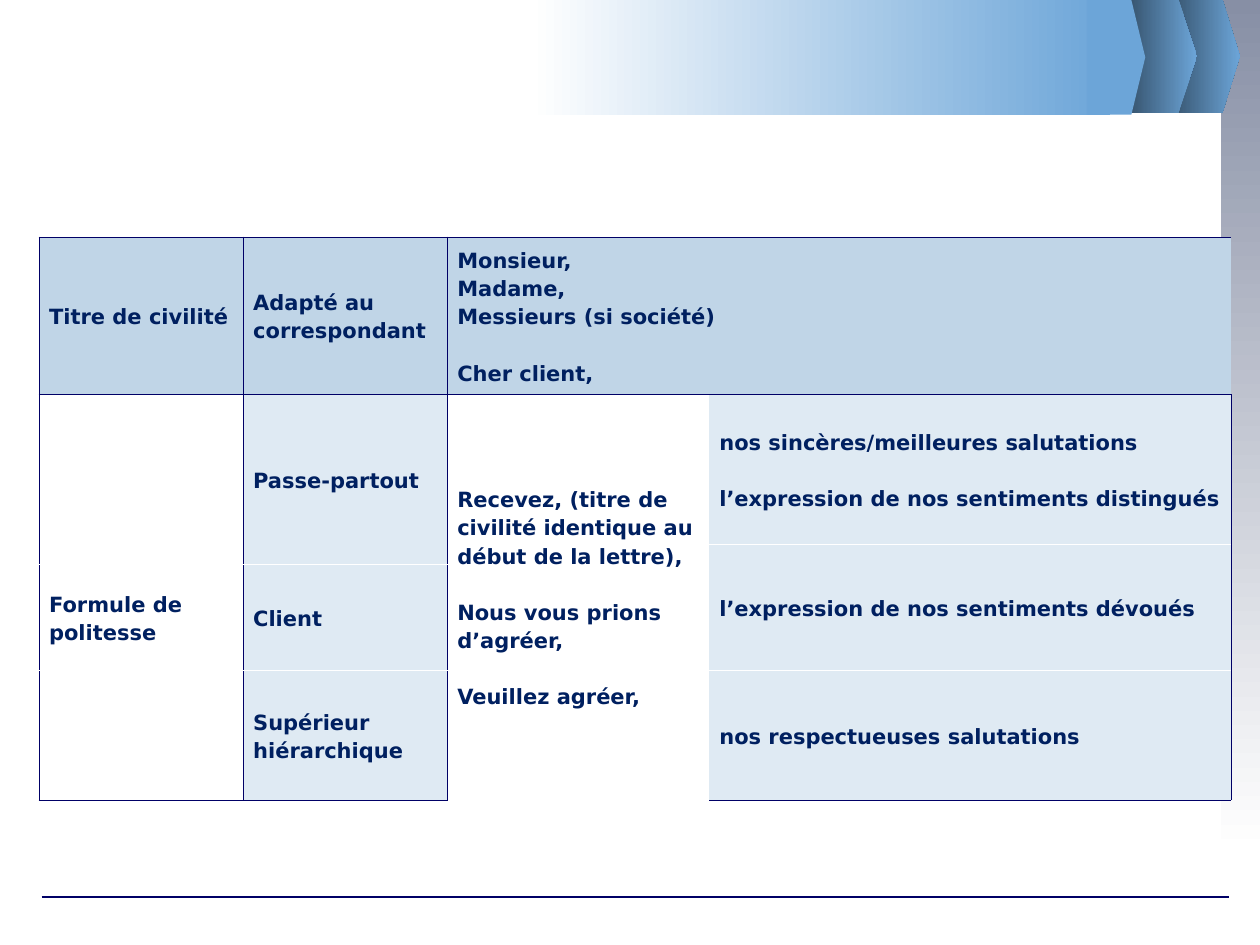
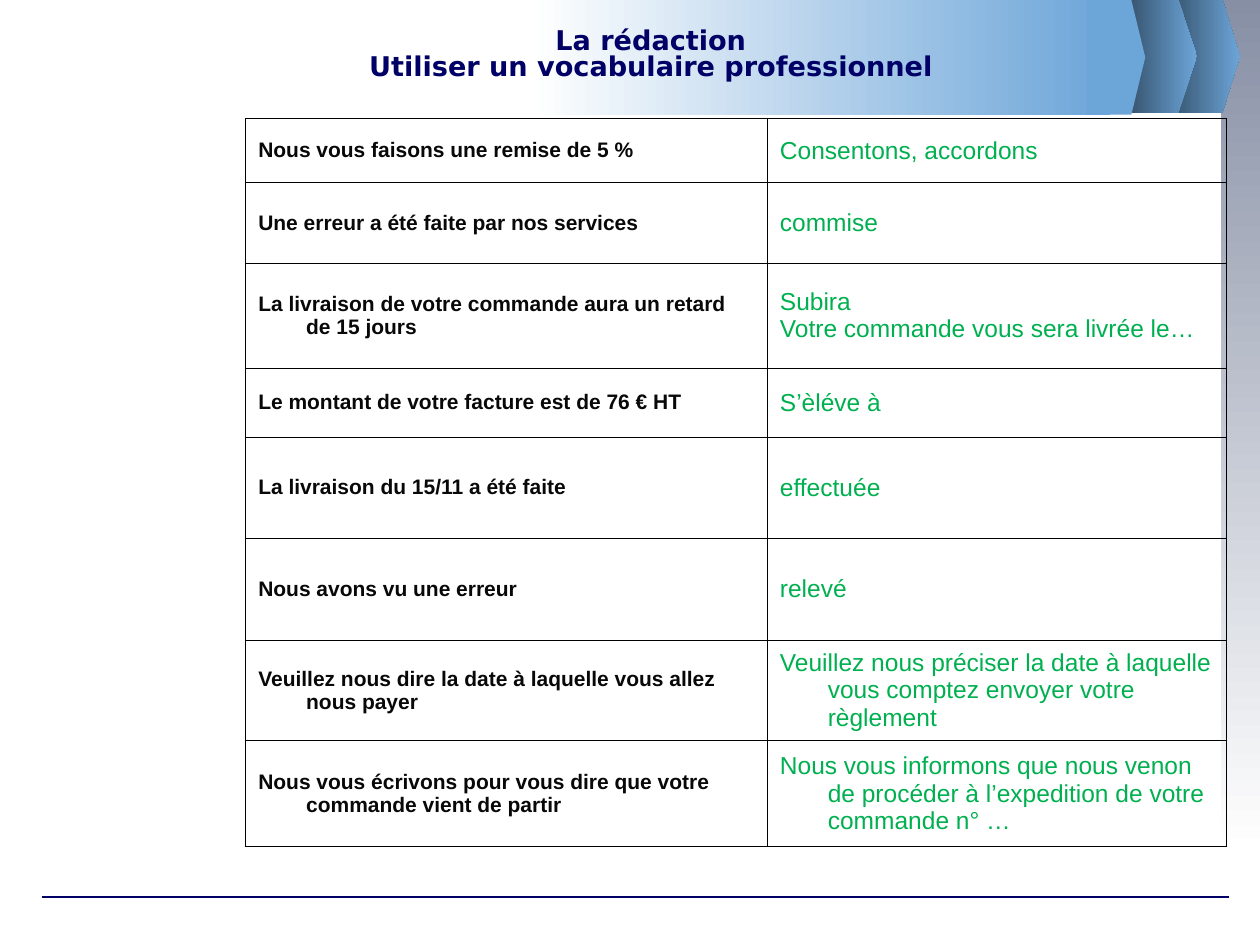
from dataclasses import dataclass
from itertools import product
from typing import Optional

from lxml.etree import SubElement
from pptx import Presentation
from pptx.dml.color import RGBColor
from pptx.enum.shapes import MSO_CONNECTOR as Link, MSO_SHAPE as Kind
from pptx.enum.text import MSO_ANCHOR as Anchor, PP_ALIGN as Align
from pptx.oxml.ns import qn
from pptx.util import Inches, Pt

# Grid: 100 columns by 75 rows of a tenth of an inch
COLS, ROWS = 100, 75
UNIT = Inches(0.1)

NAVY, INK, GREEN = "000066", "002060", "00B050"
BLACK, COAL, WHITE = "000000", "080808", "FFFFFF"
STEEL, SLATE, GREY = "6CA5D8", "324C64", "878FA5"
HEAD, PALE = "C0D5E7", "DFEAF3"
BAND = 9.1  # height of the top band
RULE = 0.45  # width of table borders


@dataclass
class Box:
    x: float
    y: float
    w: float
    h: float


@dataclass
class Arrow:
    x: float
    y: float
    flat: float
    tip: float
    fill: tuple


@dataclass
class Style:
    font: str
    size: float
    tint: str
    bold: bool = True
    lead: Optional[float] = None
    gap: float = 0
    hang: float = 0


@dataclass
class Cell:
    row: int
    col: int
    text: str
    fill: str
    down: int = 1
    across: int = 1


BODY = Style("DejaVu Sans", 12, INK, lead=1.15, gap=16)
TITLE = Style("DejaVu Sans", 15.5, NAVY, lead=0.8)
PLAIN = Style("Arial", 12, COAL, hang=3.8)
BETTER = Style("Arial", 14, GREEN, bold=False, hang=3.8)

ARROWS = [
    Arrow(92.5, -0.1, 4.5, 5.9, (SLATE, STEEL)),
    Arrow(89.1, -0.1, 4.4, 5.9, (SLATE, STEEL)),
    Arrow(86.3, 0, 3.5, 4.6, (STEEL,)),
]

FORMS = [
    Cell(0, 0, "Titre de civilité", HEAD),
    Cell(0, 1, "Adapté au correspondant", HEAD),
    Cell(0, 2, "Monsieur,\nMadame,\nMessieurs (si société)\n\nCher client,", HEAD, across=2),
    Cell(1, 0, "", WHITE, down=2),
    Cell(1, 1, "Passe-partout", PALE, down=2),
    Cell(1, 2, "Recevez, (titre de civilité identique au début de la lettre),\n\n"
         "Nous vous prions d’agréer,\n\nVeuillez agréer,", WHITE, down=4),
    Cell(1, 3, "nos sincères/meilleures salutations\n\n"
         "l’expression de nos sentiments distingués", PALE),
    Cell(2, 3, "l’expression de nos sentiments dévoués", PALE, down=2),
    Cell(3, 0, "Formule de politesse", WHITE),
    Cell(3, 1, "Client", PALE),
    Cell(4, 0, "", WHITE),
    Cell(4, 1, "Supérieur hiérarchique", PALE),
    Cell(4, 3, "nos respectueuses salutations", PALE),
]

WORDS = [
    ("Nous vous faisons une remise de 5 %", "Consentons, accordons"),
    ("Une erreur a été faite par nos services", "commise"),
    ("La livraison de votre commande aura un retard de 15 jours",
     "Subira\nVotre commande vous sera livrée le…"),
    ("Le montant de votre facture est de 76 € HT", "S’èléve à"),
    ("La livraison du 15/11 a été faite", "effectuée"),
    ("Nous avons vu une erreur", "relevé"),
    ("Veuillez nous dire la date à laquelle vous allez nous payer",
     "Veuillez nous préciser la date à laquelle vous comptez envoyer votre règlement"),
    ("Nous vous écrivons pour vous dire que votre commande vient de partir",
     "Nous vous informons que nous venon de procéder à l’expedition de votre commande n° …"),
]


def grid(*spans: float) -> list:
    return [round(span * UNIT) for span in spans]


def place(box: Box) -> list:
    return grid(box.x, box.y, box.w, box.h)


def color(code: str) -> RGBColor:
    return RGBColor.from_string(code)


def paint(shape, tints: tuple, angle: int = 0) -> None:
    """Fill with one colour, or with a gradient from the first to the last."""
    shape.shadow.inherit = False
    shape.line.fill.background()
    if len(tints) == 1:
        shape.fill.solid()
        shape.fill.fore_color.rgb = color(tints[0])
        return
    shape.fill.gradient()
    shape.fill.gradient_angle = angle
    for stop, tint in zip(shape.fill.gradient_stops, tints):
        stop.color.rgb = color(tint)


def write(frame, text: str, style: Style) -> None:
    """One paragraph a line; an empty line becomes space before the next."""
    para, gap = None, 0
    for line in text.split("\n"):
        if not line and para is not None:
            gap = style.gap
            continue
        para = frame.paragraphs[0] if para is None else frame.add_paragraph()
        para.text = line
        if gap:
            para.space_before, gap = Pt(gap), 0
        if style.lead:
            para.line_spacing = style.lead
        if style.hang:
            props = para._p.get_or_add_pPr()
            hang = grid(style.hang)[0]
            props.set("marL", str(hang))
            props.set("indent", str(-hang))
        font = para.font
        font.name, font.size, font.bold = style.font, Pt(style.size), style.bold
        font.color.rgb = color(style.tint)


def edge(cell, sides: dict) -> None:
    """Draw the four borders; a side without colour stays clear."""
    props = cell._tc.get_or_add_tcPr()
    for side in "LRTB":
        line = SubElement(props, qn(f"a:ln{side}"), w=str(Pt(RULE)))
        tint = sides.get(side)
        if tint:
            SubElement(SubElement(line, qn("a:solidFill")), qn("a:srgbClr"), val=tint)
        else:
            SubElement(line, qn("a:noFill"))


def pad(cell, side: float) -> None:
    cell.vertical_anchor = Anchor.MIDDLE
    cell.margin_left = cell.margin_right = grid(side)[0]
    cell.margin_top = cell.margin_bottom = grid(0.5)[0]


def add_grid(slide, x: float, y: float, wide: list, high: list):
    box = Box(x, y, sum(wide), sum(high))
    table = slide.shapes.add_table(len(high), len(wide), *place(box)).table
    table.first_row = table.horz_banding = False
    for col, span in zip(table.columns, grid(*wide)):
        col.width = span
    for row, span in zip(table.rows, grid(*high)):
        row.height = span
    return table


def add_arrow(slide, arrow: Arrow) -> None:
    x, y = arrow.x, arrow.y
    path = [(x + arrow.flat, y), (x + arrow.tip, y + BAND / 2),
            (x + arrow.flat, y + BAND), (x, y + BAND)]
    pen = slide.shapes.build_freeform(*grid(x, y))
    pen.add_line_segments([grid(*point) for point in path])
    paint(pen.convert_to_shape(), arrow.fill)


def add_base(deck):
    """Blank slide with the side bar, foot line and top band."""
    slide = deck.slides.add_slide(deck.slide_layouts[6])
    shapes = slide.shapes
    side = shapes.add_shape(Kind.RECTANGLE, *place(Box(96.9, 0, 3.1, 67.7)))
    paint(side, (GREY, WHITE), 270)
    foot = shapes.add_connector(Link.STRAIGHT, *grid(3.3, 71.2, 97.5, 71.2))
    foot.line.color.rgb = color(NAVY)
    foot.line.width = Pt(0.75)
    SubElement(foot._element.spPr, qn("a:effectLst"))
    *back, front = ARROWS
    for arrow in back:
        add_arrow(slide, arrow)
    band = shapes.add_shape(Kind.RECTANGLE, *place(Box(42.1, 0, 46, BAND)))
    paint(band, (WHITE, STEEL))
    add_arrow(slide, front)
    return slide


def add_forms(slide) -> None:
    """Greeting and closing phrases, with merged cells."""
    table = add_grid(slide, 3.1, 18.8, [16.2, 16.2, 20.8, 41.4], [12.5, 11.9, 1.6, 8.4, 10.3])
    for item in FORMS:
        end, last = item.row + item.down - 1, item.col + item.across - 1
        first = table.cell(item.row, item.col)
        if end > item.row or last > item.col:
            first.merge(table.cell(end, last))
        for row, col in product(range(item.row, end + 1), range(item.col, last + 1)):
            sides = {}
            if row == item.row:
                sides["T"] = NAVY if row < 2 else WHITE
            if row == end:
                sides["B"] = NAVY if row in (0, 4) else WHITE
            if col == item.col and col != 3:
                sides["L"] = NAVY
            if col == last and col != 2:
                sides["R"] = NAVY
            cell = table.cell(row, col)
            edge(cell, sides)
            cell.fill.solid()
            cell.fill.fore_color.rgb = color(item.fill)
        pad(first, 0.8)
        write(first.text_frame, item.text, BODY)


def add_words(slide) -> None:
    """Plain sentences beside their professional wording."""
    table = add_grid(slide, 19.5, 9.4, [41.4, 36.4], [5.1, 6.4, 8.3, 5.5, 8, 8.1, 8, 8.4])
    for row, pair in enumerate(WORDS):
        for col, (text, style) in enumerate(zip(pair, (PLAIN, BETTER))):
            cell = table.cell(row, col)
            edge(cell, dict.fromkeys("LRTB", BLACK))
            cell.fill.background()
            pad(cell, 1)
            write(cell.text_frame, text, style)


def add_title(slide, text: str) -> None:
    frame = slide.shapes.add_textbox(*place(Box(12.5, 1.2, 78.3, 6.5))).text_frame
    frame.word_wrap = True
    frame.vertical_anchor = Anchor.MIDDLE
    write(frame, text, TITLE)
    frame.paragraphs[0].alignment = Align.CENTER


def main() -> None:
    deck = Presentation()
    deck.slide_width, deck.slide_height = grid(COLS, ROWS)
    add_forms(add_base(deck))
    words = add_base(deck)
    add_words(words)
    add_title(words, "La rédaction\vUtiliser un vocabulaire professionnel")
    deck.save("out.pptx")


if __name__ == "__main__":
    main()
